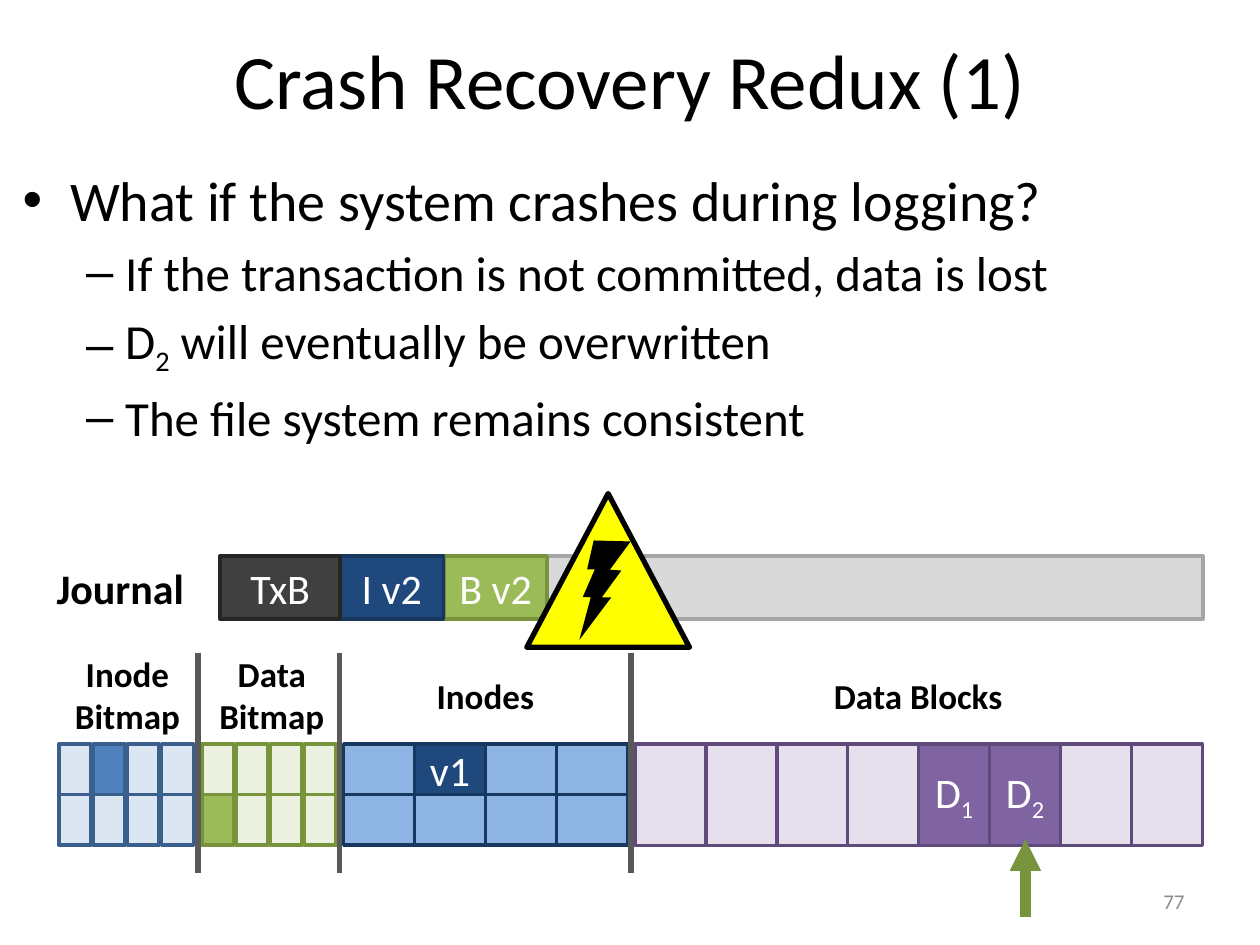
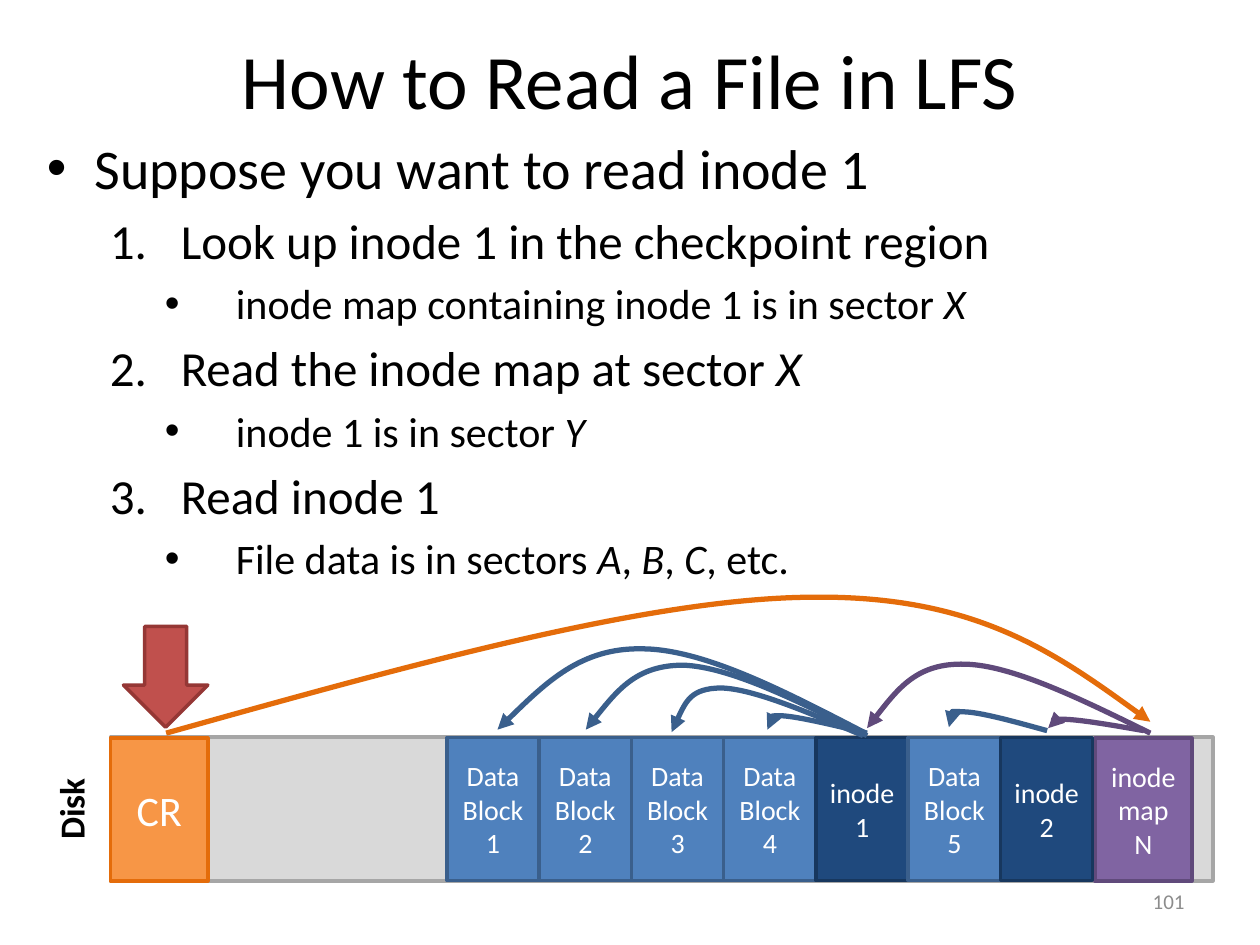
from lxml.etree import SubElement
from pptx import Presentation
from pptx.dml.color import RGBColor
from pptx.enum.shapes import MSO_CONNECTOR, MSO_SHAPE
from pptx.enum.text import MSO_ANCHOR, MSO_AUTO_SIZE, PP_ALIGN
from pptx.oxml.ns import qn
from pptx.util import Cm, Pt

FONT = "Calibri"
COLOURS = {
    "black": "000000", "white": "FFFFFF", "page number": "8C8C8C",
    "divider": "595959", "yellow": "FFFF00",
    "bar": "D9D9D9", "bar edge": "A6A6A6",
    "charcoal": "404040", "charcoal edge": "262626",
    "navy": "1F497D", "navy edge": "17375E",
    "sky": "8EB4E3", "pale blue": "DCE6F2",
    "blue": "4F81BD", "blue edge": "3A5F8C",
    "pale green": "EBF1DE", "green": "9BBB59", "green edge": "77933C",
    "pale purple": "E6E0EC", "purple": "8064A2", "purple edge": "604A7B",
    "orange": "F79646", "orange edge": "E46C0A",
    "red": "C0504D", "red edge": "953735",
}
LEVEL_SIZES = (32, 28, 24)
BULLET_INDENTS = ((0.96, -0.96), (2.07, -0.79))
STEP_INDENTS = ((0.96, -0.96), (2.7, -1.43), (3.81, -1.43))


def colour(name):
    return RGBColor.from_string(COLOURS[name])


def lengths(*values):
    return [Cm(value) for value in values]


def write_para(para, pieces, size, tone="black", bold=False, align=None):
    """Fill a paragraph from plain strings and (text, "sub" or "italic") pairs."""
    para.alignment = align
    for piece in [pieces] if isinstance(pieces, str) else pieces:
        text, style = (piece, None) if isinstance(piece, str) else piece
        span = para.add_run()
        span.text = text
        span.font.name = FONT
        span.font.size = Pt(size)
        span.font.color.rgb = colour(tone)
        span.font.bold = bold
        if style == "italic":
            span.font.italic = True
        elif style == "sub":
            span.font._element.set("baseline", "-25000")


def write_lines(frame, lines, size, **style):
    for index, pieces in enumerate(lines):
        para = frame.add_paragraph() if index else frame.paragraphs[0]
        write_para(para, pieces, size, **style)


def place(shape, *area):
    shape.left, shape.top, shape.width, shape.height = lengths(*area)


def add_page(deck, title, number):
    slide = deck.slides.add_slide(deck.slide_layouts[1])
    place(slide.shapes.title, 1.27, 0, 22.86, 3.18)
    frame = slide.shapes.title.text_frame
    frame.auto_size = MSO_AUTO_SIZE.NONE
    frame.vertical_anchor = MSO_ANCHOR.MIDDLE
    write_lines(frame, [title], 44, align=PP_ALIGN.CENTER)
    add_label(slide, (18.21, 17.65, 5.92, 1.02), [number], 12,
              tone="page number", bold=False, align=PP_ALIGN.RIGHT,
              anchor=MSO_ANCHOR.MIDDLE)
    return slide


def fill_body(slide, area, items, indents, numbered=False):
    """Write (level, pieces) items; numbered turns the second level into steps."""
    body = slide.placeholders[1]
    place(body, *area)
    frame = body.text_frame
    frame.auto_size = MSO_AUTO_SIZE.NONE
    for index, (level, pieces) in enumerate(items):
        para = frame.add_paragraph() if index else frame.paragraphs[0]
        para.level = level
        write_para(para, pieces, LEVEL_SIZES[level])
        properties = para._p.get_or_add_pPr()
        margin, indent = indents[level]
        properties.set("marL", str(Cm(margin)))
        properties.set("indent", str(Cm(indent)))
        if numbered and level == 1:
            SubElement(properties, qn("a:buAutoNum"), type="arabicPeriod")


def add_label(slide, area, lines, size, tone="black", bold=True,
              align=PP_ALIGN.CENTER, anchor=MSO_ANCHOR.TOP):
    box = slide.shapes.add_textbox(*lengths(*area))
    box.text_frame.word_wrap = True
    box.text_frame.vertical_anchor = anchor
    write_lines(box.text_frame, lines, size, tone=tone, bold=bold, align=align)
    return box


def add_box(slide, area, fill, edge=None, lines=(), size=24,
            kind=MSO_SHAPE.RECTANGLE, weight=2):
    box = slide.shapes.add_shape(kind, *lengths(*area))
    box.shadow.inherit = False
    box.fill.solid()
    box.fill.fore_color.rgb = colour(fill)
    if edge:
        box.line.color.rgb = colour(edge)
        box.line.width = Pt(weight)
    else:
        box.line.fill.background()
    box.text_frame.vertical_anchor = MSO_ANCHOR.MIDDLE
    write_lines(box.text_frame, lines, size, tone="white", align=PP_ALIGN.CENTER)
    return box


def add_grid(slide, left, shape, cell, pitch, fill, edge, marked):
    """Draw rows of cells; marked maps (row, column) to (fill, lines)."""
    rows, columns = shape
    width, height = cell
    for row in range(rows):
        for column in range(columns):
            cell_fill, lines = marked.get((row, column), (fill, ()))
            area = (left + column * pitch, 15 + row * height, width, height)
            add_box(slide, area, cell_fill, edge, lines)


def add_arrowhead(line):
    SubElement(line._get_or_add_ln(), qn("a:tailEnd"), type="triangle")


def add_line(slide, start, end, tone, weight):
    line = slide.shapes.add_connector(MSO_CONNECTOR.STRAIGHT,
                                      *lengths(*start, *end))
    line.line.color.rgb = colour(tone)
    line.line.width = Pt(weight)
    SubElement(line._element.spPr, qn("a:effectLst"))
    return line


def midpoint(a, b):
    return (a[0] + b[0]) / 2, (a[1] + b[1]) / 2


def bend_segments(shape):
    """Turn each three straight segments of a freeform into one cubic curve."""
    outline = next(shape._element.iter(qn("a:path")))
    segments = outline.findall(qn("a:lnTo"))
    for first in range(0, len(segments), 3):
        curve = SubElement(outline, qn("a:cubicBezTo"))
        for segment in segments[first:first + 3]:
            curve.append(segment[0])
            outline.remove(segment)


def add_arc(slide, tone, start, rise, peak, fall, end):
    """Draw a curved arrow over a peak; rise and fall steer its two halves."""
    track = (midpoint(start, rise), rise, peak, fall, midpoint(fall, end), end)
    builder = slide.shapes.build_freeform(*lengths(*start))
    builder.add_line_segments([lengths(*point) for point in track], close=False)
    arc = builder.convert_to_shape()
    bend_segments(arc)
    arc.shadow.inherit = False
    arc.fill.background()
    arc.line.color.rgb = colour(tone)
    arc.line.width = Pt(3)
    add_arrowhead(arc.line)


def add_crash_sign(slide):
    add_box(slide, (10.62, 9.95, 3.28, 3.1), "yellow", "black",
            kind=MSO_SHAPE.ISOSCELES_TRIANGLE, weight=3)
    bolt = add_box(slide, (11.27, 10.9, 1.73, 1.73), "black",
                   kind=MSO_SHAPE.LIGHTNING_BOLT)
    bolt.rotation = 336.9
    bolt._element.spPr.find(qn("a:xfrm")).set("flipH", "1")


def build_crash_recovery(deck):
    slide = add_page(deck, "Crash Recovery Redux (1)", "77")
    fill_body(slide, (0.2, 3.2, 25.02, 6.76), [
        (0, "What if the system crashes during logging?"),
        (1, "If the transaction is not committed, data is lost"),
        (1, ["D", ("2", "sub"), " will eventually be overwritten"]),
        (1, "The file system remains consistent"),
    ], BULLET_INDENTS)

    add_box(slide, (4.44, 11.21, 19.81, 1.27), "bar", "bar edge")
    add_label(slide, (0.89, 11.21, 3.1, 1.27), ["Journal"], 24, align=PP_ALIGN.LEFT)
    for left, width, tone, text in ((8.95, 2.08, "green", "B v2"),
                                    (6.86, 2.08, "navy", "I v2"),
                                    (4.44, 2.42, "charcoal", "TxB")):
        add_box(slide, (left, 11.21, width, 1.27), tone, f"{tone} edge", [text])

    add_grid(slide, 1.19, (2, 4), (0.64, 1.02), 0.69, "pale blue", "blue edge",
             {(0, 1): ("blue", ())})
    add_grid(slide, 4.07, (2, 4), (0.64, 1.02), 0.69, "pale green", "green edge",
             {(1, 0): ("green", ())})
    add_grid(slide, 6.93, (2, 4), (1.43, 1.02), 1.43, "sky", "navy edge",
             {(0, 1): ("navy", ["v1"])})
    add_grid(slide, 12.8, (1, 8), (1.43, 2.05), 1.43, "pale purple", "purple edge",
             {(0, 3 + n): ("purple", [["D", (str(n), "sub")]]) for n in (1, 2)})

    for left, top, width, lines in ((1.25, 13.03, 2.64, ["Inode", "Bitmap"]),
                                    (4.16, 13.03, 2.64, ["Data", "Bitmap"]),
                                    (8.54, 13.47, 2.49, ["Inodes"]),
                                    (16.54, 13.47, 3.94, ["Data Blocks"])):
        add_label(slide, (left, top, width, 0.99 * len(lines)), lines, 20)
    for x in (3.99, 6.85, 12.72):
        add_line(slide, (x, 13.16), (x, 17.6), "divider", 3)

    add_crash_sign(slide)
    pointer = add_line(slide, (20.67, 18.49), (20.67, 16.92), "green edge", 6)
    add_arrowhead(pointer.line)


def build_file_read(deck):
    slide = add_page(deck, "How to Read a File in LFS", "101")
    x, y, a, b, c = ((letter, "italic") for letter in "XYABC")
    fill_body(slide, (0.69, 2.56, 24.1, 10.19), [
        (0, "Suppose you want to read inode 1"),
        (1, "Look up inode 1 in the checkpoint region"),
        (2, ["inode map containing inode 1 is in sector ", x]),
        (1, ["Read the inode map at sector ", x]),
        (2, ["inode 1 is in sector ", y]),
        (1, "Read inode 1"),
        (2, ["File data is in sectors ", a, ", ", b, ", ", c, ", etc."]),
    ], STEP_INDENTS, numbered=True)

    add_box(slide, (2.23, 14.86, 22.22, 2.9), "bar", "bar edge")
    add_box(slide, (22.07, 14.88, 1.96, 2.88), "purple", "purple edge",
            ["inode", "map", "N"], 16)
    add_label(slide, (-0.38, 15.75, 3.63, 1.12), ["Disk"], 20).rotation = 270
    segments = [*(("blue", [f"Data Block {n}"]) for n in range(1, 5)),
                ("navy", ["inode", "1"]),
                ("blue", ["Data Block 5"]),
                ("navy", ["inode", "2"])]
    for index, (tone, lines) in enumerate(segments):
        add_box(slide, (9.01 + index * 1.86, 14.87, 1.86, 2.88), tone,
                f"{tone} edge", lines, 16)

    arcs = (
        ("blue", (17.45, 14.78), (14.17, 13.08), (12.93, 13.08), (11.71, 13.06), (10.03, 14.71)),
        ("blue", (17.48, 14.83), (14.71, 13.44), (13.77, 13.41), (12.83, 13.41), (11.81, 14.71)),
        ("blue", (17.4, 14.83), (15.19, 13.89), (14.55, 13.87), (13.92, 13.87), (13.54, 14.76)),
        ("blue", (17.48, 14.78), (16.1, 14.45), (15.77, 14.43), (15.44, 14.43), (15.47, 14.71)),
        ("blue", (21.11, 14.73), (19.74, 14.35), (19.41, 14.35), (19.08, 14.33), (19.13, 14.66)),
        ("purple", (23.06, 14.73), (21.74, 14.5), (21.41, 14.5), (21.08, 14.5), (21.13, 14.68)),
        ("purple", (23.19, 14.78), (20.4, 13.41), (19.46, 13.39), (18.49, 13.36), (17.48, 14.68)),
        ("orange", (3.35, 14.78), (13.03, 12.07), (16.33, 12.04), (19.66, 11.99), (23.19, 14.55)),
    )
    *block_arcs, checkpoint_arc = arcs
    for tone, *points in block_arcs:
        add_arc(slide, f"{tone} edge", *points)
    add_box(slide, (2.23, 14.88, 1.96, 2.88), "orange", "orange edge", ["CR"])
    tone, *points = checkpoint_arc
    add_arc(slide, f"{tone} edge", *points)
    add_box(slide, (2.49, 12.63, 1.7, 2.03), "red", "red edge",
            kind=MSO_SHAPE.DOWN_ARROW)


def main():
    deck = Presentation()
    deck.slide_width, deck.slide_height = lengths(25.4, 19.05)
    build_crash_recovery(deck)
    build_file_read(deck)
    deck.save("out.pptx")


if __name__ == "__main__":
    main()
